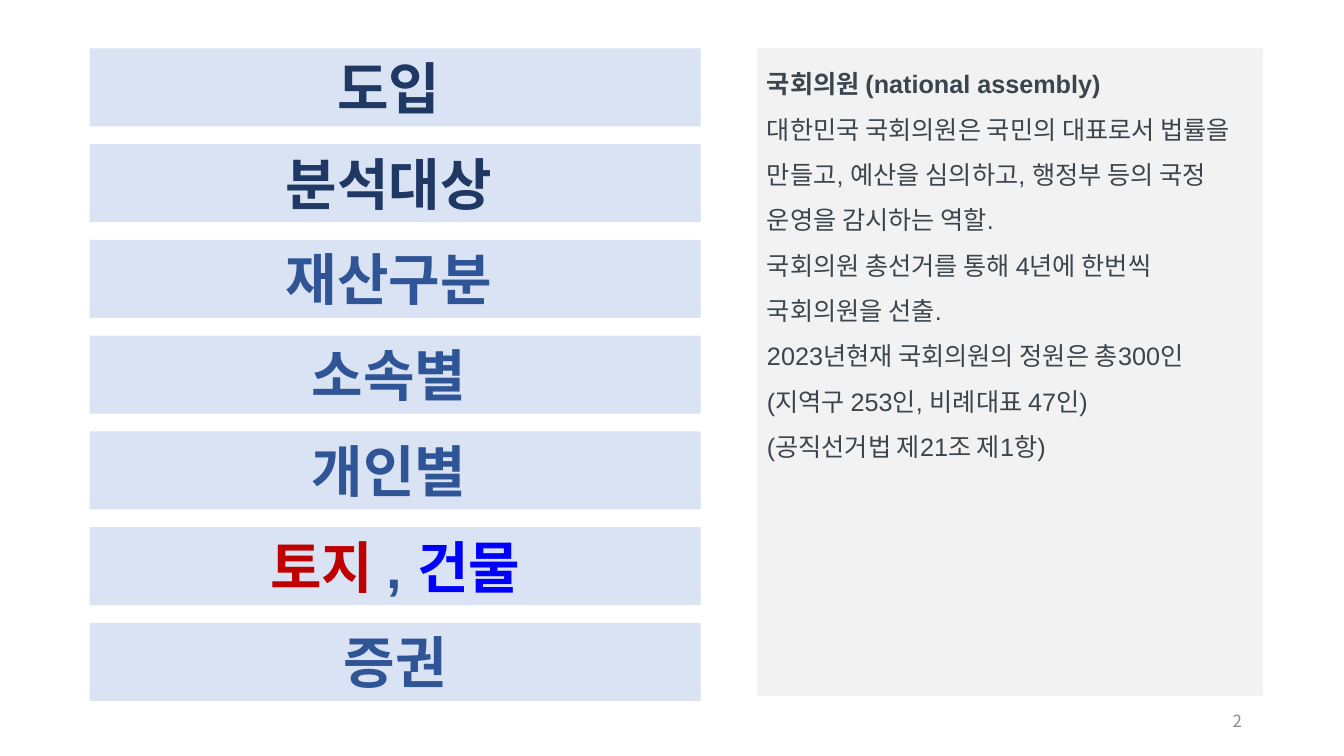
from lxml import etree
from pptx import Presentation
from pptx.dml.color import RGBColor
from pptx.enum.shapes import MSO_SHAPE
from pptx.enum.text import MSO_ANCHOR, PP_ALIGN
from pptx.oxml.ns import qn
from pptx.util import Cm, Pt

RECTANGLE = MSO_SHAPE.RECTANGLE
TOP, MIDDLE = MSO_ANCHOR.TOP, MSO_ANCHOR.MIDDLE
LEFT, CENTER, RIGHT = PP_ALIGN.LEFT, PP_ALIGN.CENTER, PP_ALIGN.RIGHT
BLANK_LAYOUT = 6
KOREAN_FONT = "Noto Sans CJK KR"
NAVY, BLUE = "203864", "2F5597"

AGENDA = [
    [("도입 ", NAVY)],
    [("분석대상 ", NAVY)],
    [("재산구분 ", BLUE)],
    [("소속별 ", BLUE)],
    [("개인별 ", BLUE)],
    [("토지 ", "C00000"), (", ", BLUE), ("건물", "0000FF")],
    [("증권", BLUE)],
]
DESCRIPTION = [
    "국회의원 (national assembly)",
    "대한민국 국회의원은 국민의 대표로서 법률을 만들고, 예산을 심의하고, 행정부 등의 국정 운영을 감시하는 역할.",
    "국회의원 총선거를 통해 4년에 한번씩 국회의원을 선출.",
    "2023년현재 국회의원의 정원은 총300인 (지역구 253인, 비례대표 47인)",
    "(공직선거법 제21조 제1항)",
]


def color(value):
    return RGBColor.from_string(value)


def format_run(run, size, value, bold=False, font="Arial"):
    run.font.size = Pt(size)
    run.font.bold = bold
    run.font.color.rgb = color(value)
    run.font.name = font
    east_asian = etree.SubElement(run.font._element, qn("a:ea"))
    east_asian.set("typeface", KOREAN_FONT)


def add_box(slide, left, top, width, height, fill, anchor):
    shape = slide.shapes.add_shape(RECTANGLE, Cm(left), Cm(top), Cm(width), Cm(height))
    shape.shadow.inherit = False
    shape.fill.solid()
    shape.fill.fore_color.rgb = color(fill)
    shape.line.fill.background()
    shape.text_frame.word_wrap = True
    shape.text_frame.vertical_anchor = anchor
    return shape


def add_agenda(slide, left, top, width, height):
    gap = 0.45
    bar_height = (height - gap * (len(AGENDA) - 1)) / len(AGENDA)
    for index, parts in enumerate(AGENDA):
        bar_top = top + index * (bar_height + gap)
        bar = add_box(slide, left, bar_top, width, bar_height, "DAE3F3", TOP)
        paragraph = bar.text_frame.paragraphs[0]
        paragraph.alignment = CENTER
        for text, value in parts:
            run = paragraph.add_run()
            run.text = text
            format_run(run, 40, value, bold=True)


def add_description(slide, left, top, width, height):
    panel = add_box(slide, left, top, width, height, "F2F2F2", TOP)
    panel.text_frame.text = "\n".join(DESCRIPTION)
    for index, paragraph in enumerate(panel.text_frame.paragraphs):
        paragraph.alignment = LEFT
        paragraph.line_spacing = 1.5
        format_run(paragraph.runs[0], 18, "3B454E", bold=index == 0)


def add_page_number(slide, left, top, width, height):
    box = slide.shapes.add_textbox(Cm(left), Cm(top), Cm(width), Cm(height))
    box.text_frame.word_wrap = True
    box.text_frame.vertical_anchor = MIDDLE
    box.text_frame.text = "2"
    paragraph = box.text_frame.paragraphs[0]
    paragraph.alignment = RIGHT
    format_run(paragraph.runs[0], 12, "8C8C8C", font=KOREAN_FONT)


def main():
    presentation = Presentation()
    presentation.slide_width = Cm(33.87)
    presentation.slide_height = Cm(19.05)
    slide = presentation.slides.add_slide(presentation.slide_layouts[BLANK_LAYOUT])
    add_page_number(slide, 23.93, 17.65, 7.62, 1.02)
    add_agenda(slide, 2.26, 1.22, 15.4, 16.44)
    add_description(slide, 19.08, 1.22, 12.75, 16.31)
    presentation.save("out.pptx")


if __name__ == "__main__":
    main()
